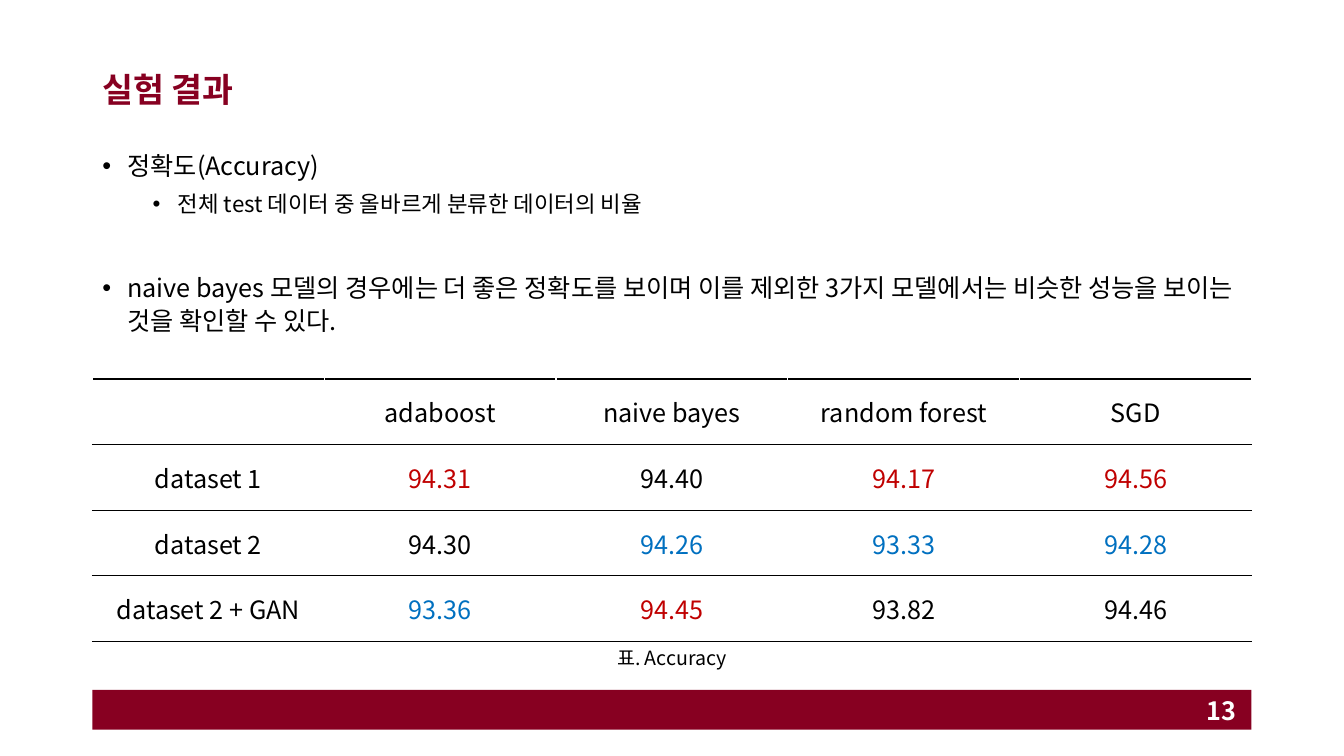
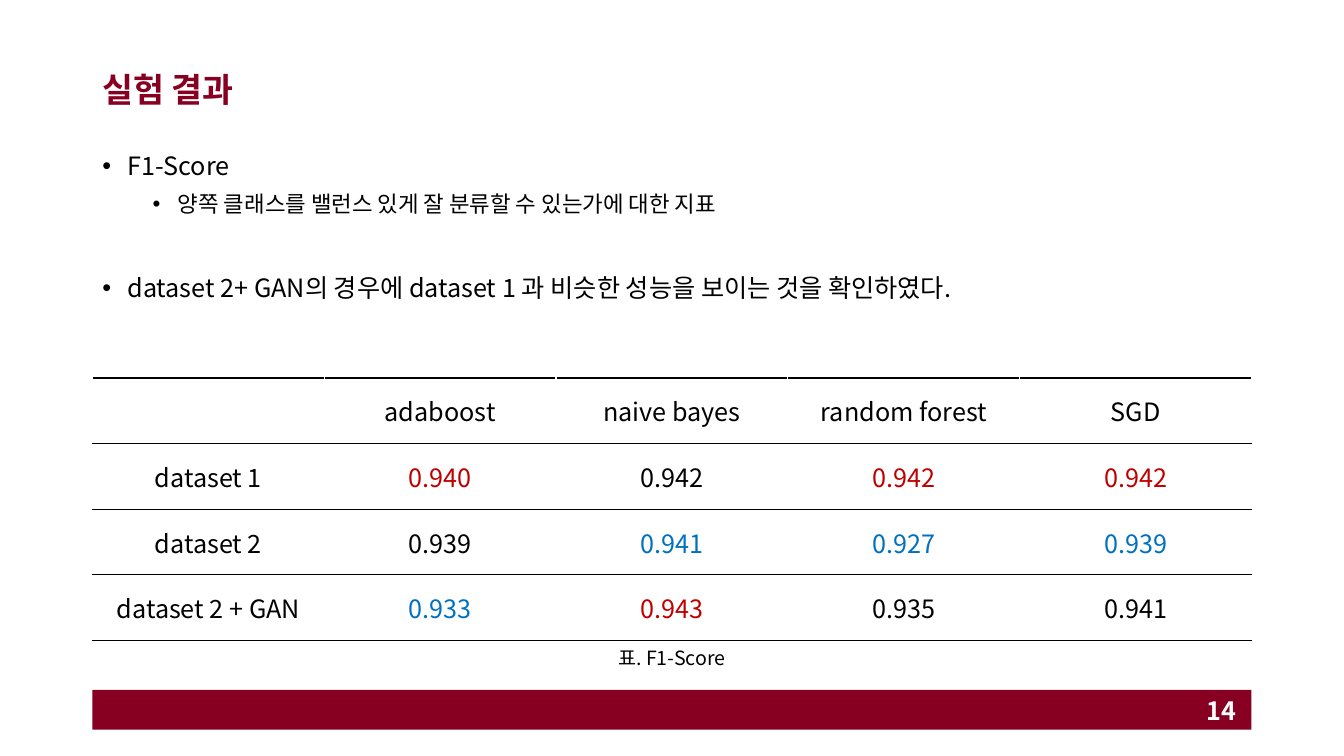
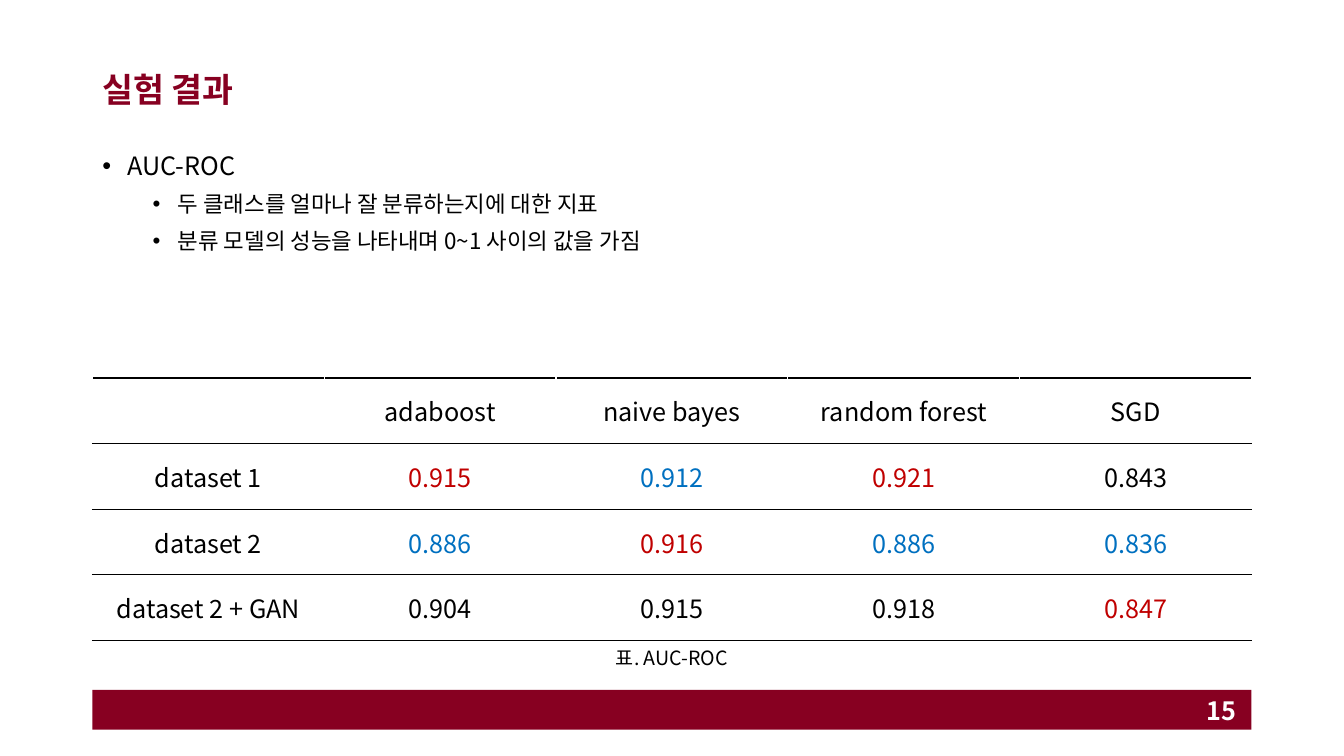
from dataclasses import dataclass

from lxml import etree
from pptx import Presentation
from pptx import util as u
from pptx.dml.color import RGBColor
from pptx.enum import shapes, text
from pptx.oxml import ns

PX = 9525


@dataclass(frozen=True)
class Theme:
    font: str = "Noto Sans CJK KR"
    crimson: str = "870021"
    white: str = "FFFFFF"
    black: str = "000000"
    best: str = "C00000"
    worst: str = "0070C0"
    title_size: int = 24
    main_size: int = 18
    detail_size: int = 16
    caption_size: int = 14


theme = Theme()


def style(paragraph, size, color=theme.black, bold=False):
    font = paragraph.font
    font.size, font.bold, font.name = u.Pt(size), bold, theme.font
    font.color.rgb = RGBColor.from_string(color)
    defaults = paragraph._p.pPr.find(ns.qn("a:defRPr"))
    etree.SubElement(defaults, ns.qn("a:ea"), typeface=theme.font)


def add_text(slide, box, wording, size, color=theme.black, bold=False):
    """Add a text box and return its text frame."""
    frame = slide.shapes.add_textbox(*(n * PX for n in box)).text_frame
    frame.word_wrap = True
    frame.text = wording
    style(frame.paragraphs[0], size, color, bold)
    return frame


LEFT, WIDTH = 88, 1104
FOOTER_TOP, FOOTER_HEIGHT = 657, 38
TABLE_HEIGHT = 250
MODELS = ["adaboost", "naive bayes", "random forest", "SGD"]
DATASETS = ["dataset 1", "dataset 2", "dataset 2 + GAN"]
# Bullet levels: left margin in px, type size, space before in points
LEVELS = {
    "main": (24, theme.main_size, 10),
    "detail": (72, theme.detail_size, 5),
    "finding": (24, theme.main_size, 37),
}

# Metric, table top, bullets, scores (one row per dataset)
RESULTS = [
    ("Accuracy", 361, [
        ("main", "정확도(Accuracy)"),
        ("detail", "전체 test 데이터 중 올바르게 분류한 데이터의 비율"),
        ("finding", "naive bayes 모델의 경우에는 더 좋은 정확도를 보이며 이를 제외한 "
                    "3가지 모델에서는 비슷한 성능을 보이는 것을 확인할 수 있다."),
    ], [
        ["94.31", "94.40", "94.17", "94.56"],
        ["94.30", "94.26", "93.33", "94.28"],
        ["93.36", "94.45", "93.82", "94.46"],
    ]),
    ("F1-Score", 360, [
        ("main", "F1-Score"),
        ("detail", "양쪽 클래스를 밸런스 있게 잘 분류할 수 있는가에 대한 지표"),
        ("finding", "dataset 2+ GAN의 경우에 dataset 1 과 비슷한 성능을 보이는 것을 확인하였다."),
    ], [
        ["0.940", "0.942", "0.942", "0.942"],
        ["0.939", "0.941", "0.927", "0.939"],
        ["0.933", "0.943", "0.935", "0.941"],
    ]),
    ("AUC-ROC", 360, [
        ("main", "AUC-ROC"),
        ("detail", "두 클래스를 얼마나 잘 분류하는지에 대한 지표"),
        ("detail", "분류 모델의 성능을 나타내며 0~1 사이의 값을 가짐"),
    ], [
        ["0.915", "0.912", "0.921", "0.843"],
        ["0.886", "0.916", "0.886", "0.836"],
        ["0.904", "0.915", "0.918", "0.847"],
    ]),
]

presentation = Presentation()
presentation.slide_width, presentation.slide_height = 1280 * PX, 720 * PX

for number, (metric, table_top, bullets, scores) in enumerate(RESULTS, start=13):
    slide = presentation.slides.add_slide(presentation.slide_layouts[6])

    # Footer band and page number
    band = slide.shapes.add_shape(
        shapes.MSO_SHAPE.RECTANGLE,
        LEFT * PX, FOOTER_TOP * PX, WIDTH * PX, FOOTER_HEIGHT * PX)
    band.shadow.inherit = False
    band.fill.solid()
    band.fill.fore_color.rgb = RGBColor.from_string(theme.crimson)
    band.line.fill.background()
    page = add_text(slide, (1140, FOOTER_TOP, 51, FOOTER_HEIGHT), str(number),
                    theme.main_size, theme.white, True)
    page.word_wrap = False

    title = add_text(slide, (LEFT, 38, WIDTH, 98), "실험 결과",
                     theme.title_size, theme.crimson, True)
    title.vertical_anchor = text.MSO_ANCHOR.MIDDLE
    title.paragraphs[0].line_spacing = 0.9

    # Bullets
    body = slide.shapes.add_textbox(LEFT * PX, 136 * PX, WIDTH * PX, 488 * PX).text_frame
    body.word_wrap = True
    body.text = "\n".join(wording for _, wording in bullets)
    for paragraph, (level, _) in zip(body.paragraphs, bullets):
        margin, size, space = LEVELS[level]
        style(paragraph, size)
        paragraph.line_spacing = 1.1
        paragraph.space_before = u.Pt(space)
        properties = paragraph._p.pPr
        properties.set("marL", str(margin * PX))
        properties.set("indent", str(-24 * PX))
        defaults = properties.find(ns.qn("a:defRPr"))
        for tag, attributes in (("a:buFont", {"typeface": "Arial"}),
                                ("a:buChar", {"char": "•"})):
            defaults.addprevious(etree.Element(ns.qn(tag), attributes))

    # Score table: the best score of each model is red, the worst blue
    rows = [["", *MODELS]] + [[name, *row] for name, row in zip(DATASETS, scores)]
    table = slide.shapes.add_table(
        len(rows), len(rows[0]),
        LEFT * PX, table_top * PX, WIDTH * PX, TABLE_HEIGHT * PX).table
    table.first_row = table.horz_banding = False
    for row_index, row in enumerate(rows):
        for column_index, value in enumerate(row):
            cell = table.cell(row_index, column_index)
            cell.fill.solid()
            cell.fill.fore_color.rgb = RGBColor.from_string(theme.white)
            cell.vertical_anchor = text.MSO_ANCHOR.MIDDLE
            color = theme.black
            if row_index and column_index:
                model_scores = [line[column_index] for line in rows[1:]]
                if value == max(model_scores):
                    color = theme.best
                elif value == min(model_scores):
                    color = theme.worst
            cell.text = value
            paragraph = cell.text_frame.paragraphs[0]
            paragraph.alignment = text.PP_ALIGN.CENTER
            style(paragraph, theme.main_size, color)
            borders = zip(("a:lnL", "a:lnR", "a:lnT", "a:lnB"),
                          (theme.white, theme.white, theme.black, theme.black))
            for position, (tag, border_color) in enumerate(borders):
                border = etree.Element(ns.qn(tag), w=str(u.Pt(1)))
                fill = etree.SubElement(border, ns.qn("a:solidFill"))
                etree.SubElement(fill, ns.qn("a:srgbClr"), val=border_color)
                cell._tc.tcPr.insert(position, border)

    caption = add_text(slide, (497, 610, 286, 33), f"표. {metric}", theme.caption_size)
    caption.paragraphs[0].alignment = text.PP_ALIGN.CENTER

presentation.save("out.pptx")
